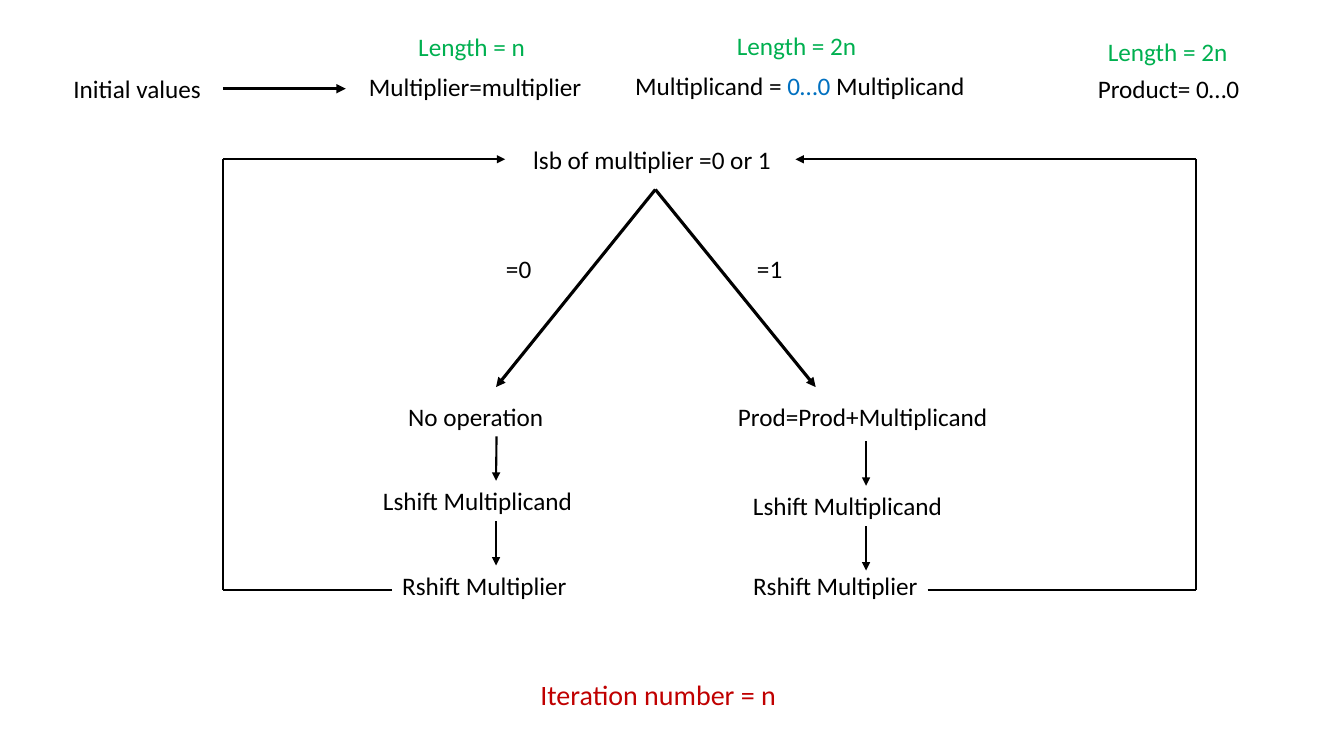
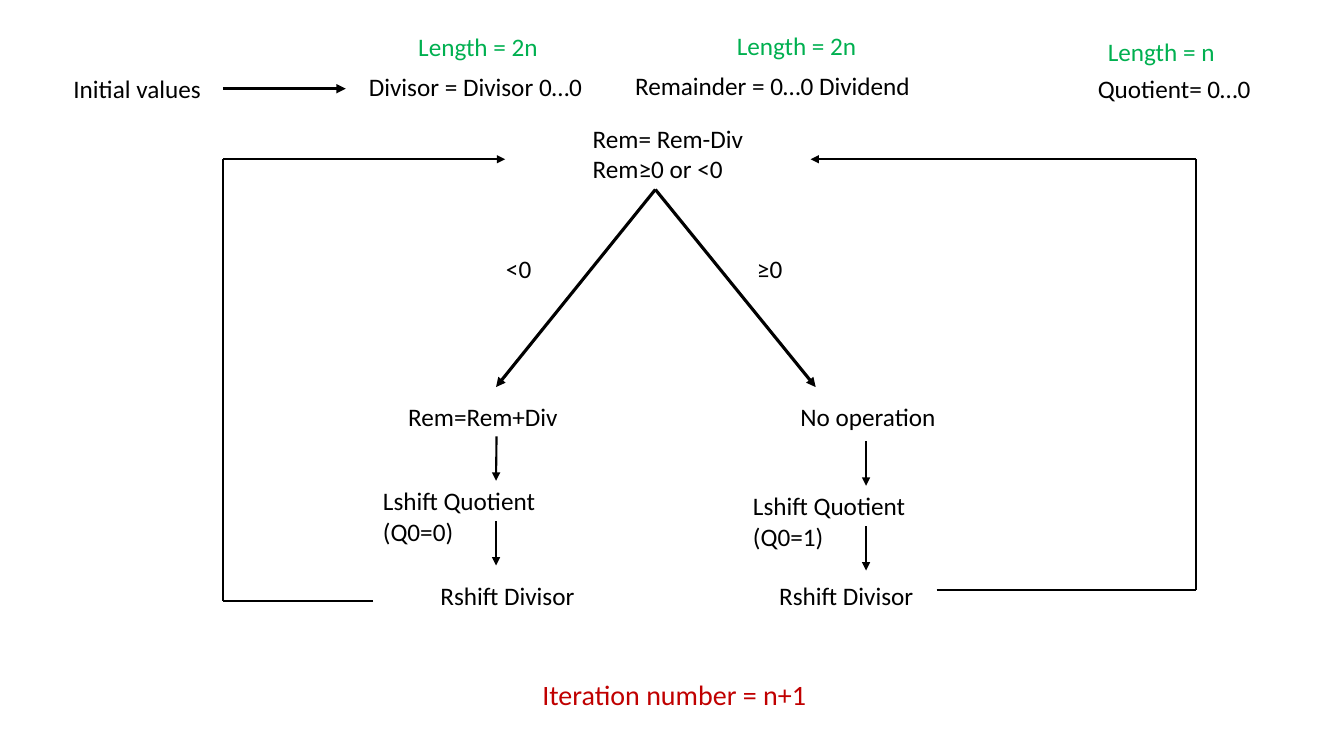
from itertools import pairwise

from lxml.etree import SubElement
from pptx import Presentation
from pptx.dml.color import RGBColor
from pptx.enum.shapes import MSO_CONNECTOR as CONNECTOR
from pptx.oxml.ns import qn
from pptx.util import Pt

PX = 9144  # one hundredth of an inch
FONT = "Calibri"
BLACK, GREEN, BLUE, RED = "000000", "00B050", "0070C0", "C00000"
TOP, RIGHT, BOTTOM = 0, 3, 2
LEFT_X, RIGHT_X = 492, 859
LOOP_LEFT, LOOP_RIGHT, LOOP_TOP = 221, 1186, 158
FORK = (650, 188)
STEP_WIDTH = 244


def add_text(slide, content, x, y, width, height=40, size=18, color=BLACK, accent=None):
    """Write one paragraph per line of content, with the accent words in blue."""
    box = slide.shapes.add_textbox(x * PX, y * PX, width * PX, height * PX)
    frame = box.text_frame
    frame.word_wrap = True
    for number, line in enumerate(content.split("\n")):
        paragraph = frame.add_paragraph() if number else frame.paragraphs[0]
        for words in line.partition(accent) if accent else [line]:
            run = paragraph.add_run()
            run.text = words
            run.font.name = FONT
            run.font.size = Pt(size)
            run.font.color.rgb = RGBColor.from_string(BLUE if words == accent else color)
    return box


def add_line(shapes, start, end, weight=1.5, arrow=True):
    points = [value * PX for value in (*start, *end)]
    connector = shapes.add_connector(CONNECTOR.STRAIGHT, *points)
    connector.line.width = Pt(weight)
    connector.line.color.rgb = RGBColor.from_string(BLACK)
    if arrow:
        SubElement(connector.line._get_or_add_ln(), qn("a:tailEnd"), type="triangle")
    SubElement(connector._element.spPr, qn("a:effectLst"))
    return connector


# Text followed by left, top, width and, where needed, height
algorithms = [
    {
        "condition": ("lsb of multiplier =0 or 1", 519, 138, 300),
        "answers": ("=0", "=1"),
        "operations": [("No operation", 395, 393, 195),
                       ("Prod=Prod+Multiplicand", 722, 393, 305)],
        "left_shifts": ("Lshift Multiplicand", "Lshift Multiplicand"),
        "right_shifts": [("Rshift Multiplier", 389, 561, 245),
                         ("Rshift Multiplier", 737, 561, 245)],
        "loop_starts": [(389, 585), (920, 585)],
        "loop_end": 789,
        "registers": ("Multiplier=multiplier", "Multiplicand = 0…0 Multiplicand",
                      "Product= 0…0"),
        "accent": "0…0",
        "lengths": ("n", "2n", "2n"),
        "iterations": ("Iteration number = n", 526, 667, 265, 44),
    },
    {
        "condition": ("Rem= Rem-Div\nRem≥0 or <0", 578, 117, 211, 71),
        "answers": ("<0", "≥0"),
        "operations": [("Rem=Rem+Div", 395, 393, 195),
                       ("No operation", 784, 393, 182)],
        "left_shifts": ("Lshift Quotient (Q0=0)", "Lshift Quotient (Q0=1)"),
        "right_shifts": [("Rshift Divisor", 427, 571, 170),
                         ("Rshift Divisor", 763, 571, 245)],
        "loop_starts": [(370, 596), (929, 585)],
        "loop_end": 804,
        "registers": ("Divisor = Divisor 0…0", "Remainder = 0…0 Dividend",
                      "Quotient= 0…0"),
        "accent": None,
        "lengths": ("2n", "2n", "n"),
        "iterations": ("Iteration number = n+1", 528, 667, 311, 44),
    },
]
register_places = [(356, 66, 233), (620, 65, 372), (1079, 68, 186)]
length_places = [(405, 26), (721, 25), (1089, 31)]

prs = Presentation()
prs.slide_width, prs.slide_height = 1333 * PX, 750 * PX

for algorithm in algorithms:
    slide = prs.slides.add_slide(prs.slide_layouts[6])

    # Initial values
    initial = add_text(slide, "Initial values", 63, 68, 158)
    pointer = add_line(slide.shapes, (221, 89), (343, 89), weight=2.25)
    pointer.begin_connect(initial, RIGHT)
    pointer.end_y = pointer.begin_y
    for register, place in zip(algorithm["registers"], register_places):
        # Only the padded multiplicand carries the accent
        accent = algorithm["accent"] if register.endswith("Multiplicand") else None
        add_text(slide, register, *place, accent=accent)
    for length, place in zip(algorithm["lengths"], length_places):
        add_text(slide, f"Length = {length}", *place, 154, color=GREEN)

    # Test and its two answers
    add_text(slide, *algorithm["condition"])
    for answer, x, branch_end in zip(algorithm["answers"], (492, 741), (492, 809)):
        add_text(slide, answer, x, 246, 67)
        add_line(slide.shapes, FORK, (branch_end, 384), weight=2.25)

    # Steps of each branch
    for side, (x, shift_top) in enumerate([(LEFT_X, 477), (RIGHT_X, 482)]):
        operation = add_text(slide, *algorithm["operations"][side])
        left_shift = add_text(slide, algorithm["left_shifts"][side],
                              x - STEP_WIDTH // 2, shift_top, STEP_WIDTH)
        add_text(slide, *algorithm["right_shifts"][side])
        to_left_shift = add_line(slide.shapes, (x, shift_top - 44), (x, shift_top))
        to_left_shift.end_connect(left_shift, TOP)
        if x == LEFT_X:
            to_left_shift.begin_connect(operation, BOTTOM)
        to_right_shift = add_line(slide.shapes, (x, shift_top + 40), (x, shift_top + 84))
        to_right_shift.begin_connect(left_shift, BOTTOM)

    # Return loops to the test
    loop_sides = [(LOOP_LEFT, 501), (LOOP_RIGHT, algorithm["loop_end"])]
    for start, (outer_x, end_x) in zip(algorithm["loop_starts"], loop_sides):
        loop = slide.shapes.add_group_shape()
        corners = [start, (outer_x, start[1]), (outer_x, LOOP_TOP), (end_x, LOOP_TOP)]
        for begin, end in pairwise(corners):
            add_line(loop.shapes, begin, end, arrow=end == corners[-1])

    add_text(slide, *algorithm["iterations"], size=20, color=RED)

prs.save("out.pptx")
